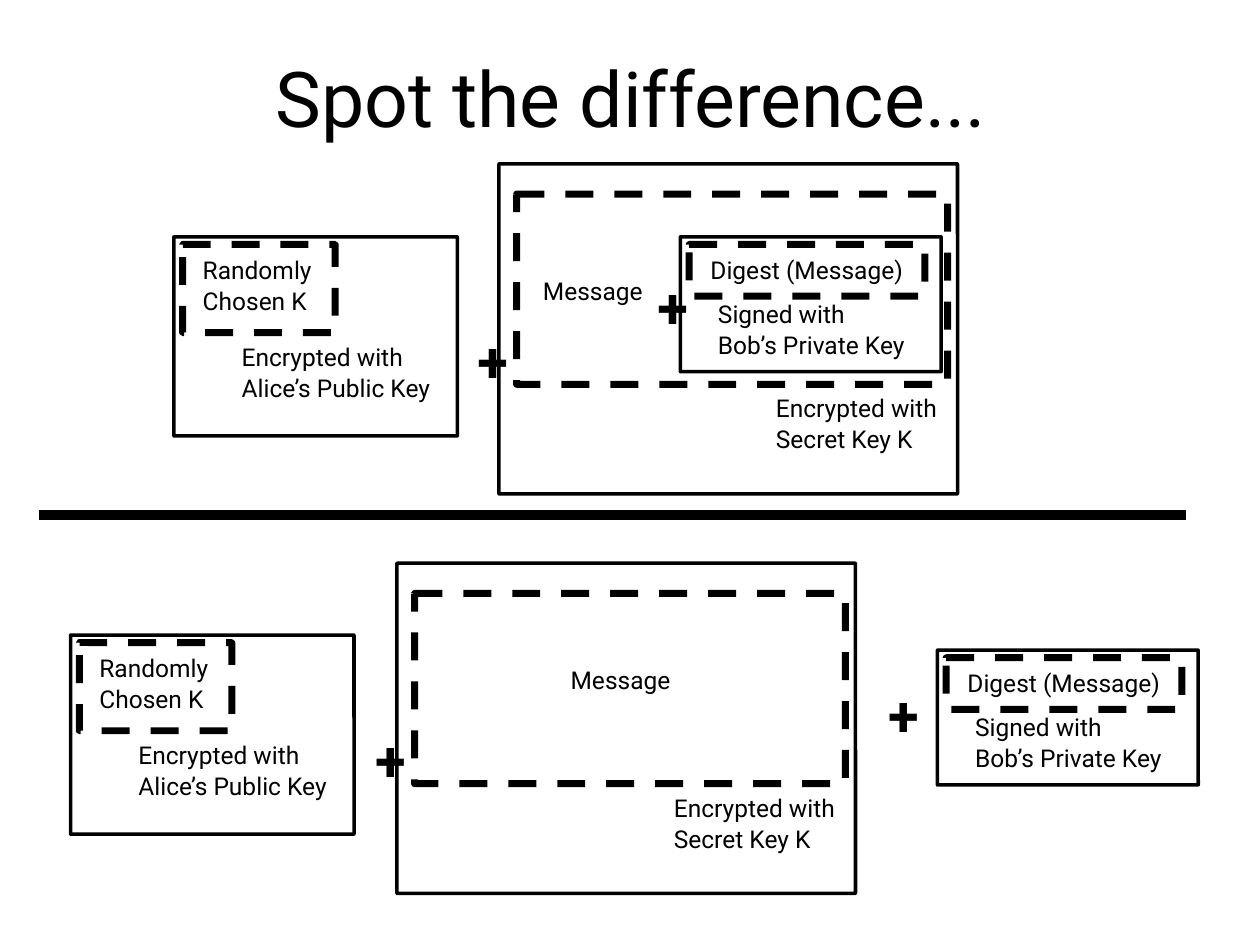
from dataclasses import dataclass

from lxml.etree import SubElement
from pptx import Presentation
from pptx.dml.color import RGBColor
from pptx.enum.dml import MSO_LINE_DASH_STYLE as Dash
from pptx.enum.shapes import MSO_CONNECTOR as Connector, MSO_SHAPE as Shape
from pptx.enum.text import MSO_ANCHOR as Anchor, MSO_AUTO_SIZE as AutoSize, PP_ALIGN as Align
from pptx.oxml.ns import qn
from pptx.util import Inches, Pt


@dataclass(frozen=True)
class Theme:
    font: str = "Roboto"
    ink: RGBColor = RGBColor(0, 0, 0)
    title: float = 44
    label: float = 14
    plus: float = 32
    solid_line: float = 2
    dashed_line: float = 4
    divider: float = 5.67
    first_spacing: float = 1.01
    next_spacing: float = 1.06


THEME = Theme()
TITLE = "Spot the difference..."

# Each package: outer size, dashed box, and labels; places are relative to the outer box.
PACKAGES = {
    "session key": {
        "size": (2.25, 1.58),
        "dashed": (0.07, 0.06, 1.21, 0.7),
        "labels": [
            (["Randomly", "Chosen K"], (0.13, 0.09, 1.12, 0.58)),
            (["Encrypted with", "Alice’s Public Key"], (0.44, 0.78, 1.74, 0.58)),
        ],
    },
    "envelope": {
        "size": (3.64, 2.62),
        "dashed": (0.14, 0.24, 3.42, 1.51),
        "labels": [(["Encrypted with", "Secret Key K"], (2.1, 1.77, 1.57, 0.58))],
    },
    "signature": {
        "size": (2.07, 1.07),
        "dashed": (0.07, 0.06, 1.87, 0.41),
        "labels": [
            (["Digest (Message)"], (0.14, 0.09, 1.77, 0.34)),
            (["Signed with", "Bob’s Private Key"], (0.2, 0.44, 1.76, 0.58)),
        ],
    },
}
SCHEMES = [
    {
        "packages": {"session key": (1.38, 1.88), "envelope": (3.96, 1.3), "signature": (5.4, 1.88)},
        "message": (4.21, 2.14),
        "pluses": [(3.69, 2.54), (5.12, 2.11)],
    },
    {
        "packages": {"session key": (0.56, 5.04), "envelope": (3.15, 4.47), "signature": (7.44, 5.16)},
        "message": (4.43, 5.23),
        "pluses": [(2.88, 5.7), (6.95, 5.35)],
    },
]
MESSAGE_SIZE = (1.02, 0.34)
PLUS_SIZE = (0.46, 0.64)
DIVIDER = (0.31, 4.09, 9.41, 4.09)


def inches(*lengths):
    return [Inches(length) for length in lengths]


def style_text(frame, size, bold=False):
    for index, paragraph in enumerate(frame.paragraphs):
        paragraph.line_spacing = THEME.next_spacing if index else THEME.first_spacing
        for run in paragraph.runs:
            run.font.name = THEME.font
            run.font.size = Pt(size)
            run.font.bold = bold
            run.font.color.rgb = THEME.ink


def add_label(slide, lines, place, size=THEME.label, bold=False):
    frame = slide.shapes.add_textbox(*inches(*place)).text_frame
    frame.text = "\n".join(lines)
    frame.word_wrap = False
    frame.auto_size = AutoSize.SHAPE_TO_FIT_TEXT
    style_text(frame, size, bold)


def add_frame(slide, place, width, dash=None):
    frame = slide.shapes.add_shape(Shape.ROUNDED_RECTANGLE, *inches(*place))
    frame.adjustments[0] = 0.002
    frame.shadow.inherit = False
    frame.fill.background()
    frame.line.color.rgb = THEME.ink
    frame.line.width = Pt(width)
    if dash:
        frame.line.dash_style = dash


def add_package(slide, package, left, top):
    def shifted(place):
        return (left + place[0], top + place[1], *place[2:])

    for lines, place in package["labels"]:
        add_label(slide, lines, shifted(place))
    add_frame(slide, shifted(package["dashed"]), THEME.dashed_line, Dash.DASH)
    add_frame(slide, (left, top, *package["size"]), THEME.solid_line)


def add_title(slide):
    title = slide.shapes.title
    title.left, title.top, title.width, title.height = inches(0.76, 0.11, 8.5, 1.31)
    frame = title.text_frame
    frame.text = TITLE
    frame.margin_left = frame.margin_right = frame.margin_top = frame.margin_bottom = 0
    frame.vertical_anchor = Anchor.MIDDLE
    frame.paragraphs[0].alignment = Align.CENTER
    style_text(frame, THEME.title)


def add_divider(slide):
    divider = slide.shapes.add_connector(Connector.STRAIGHT, *inches(*DIVIDER))
    divider.line.color.rgb = THEME.ink
    divider.line.width = Pt(THEME.divider)
    SubElement(divider._element.spPr, qn("a:effectLst"))


def main():
    deck = Presentation()
    deck.slide_width, deck.slide_height = inches(10, 7.5)
    slide = deck.slides.add_slide(deck.slide_layouts[5])
    add_title(slide)
    for scheme in SCHEMES:
        for name, corner in scheme["packages"].items():
            add_package(slide, PACKAGES[name], *corner)
        add_label(slide, ["Message"], scheme["message"] + MESSAGE_SIZE)
        for corner in scheme["pluses"]:
            add_label(slide, ["+"], corner + PLUS_SIZE, THEME.plus, bold=True)
    add_divider(slide)
    deck.save("out.pptx")


if __name__ == "__main__":
    main()
